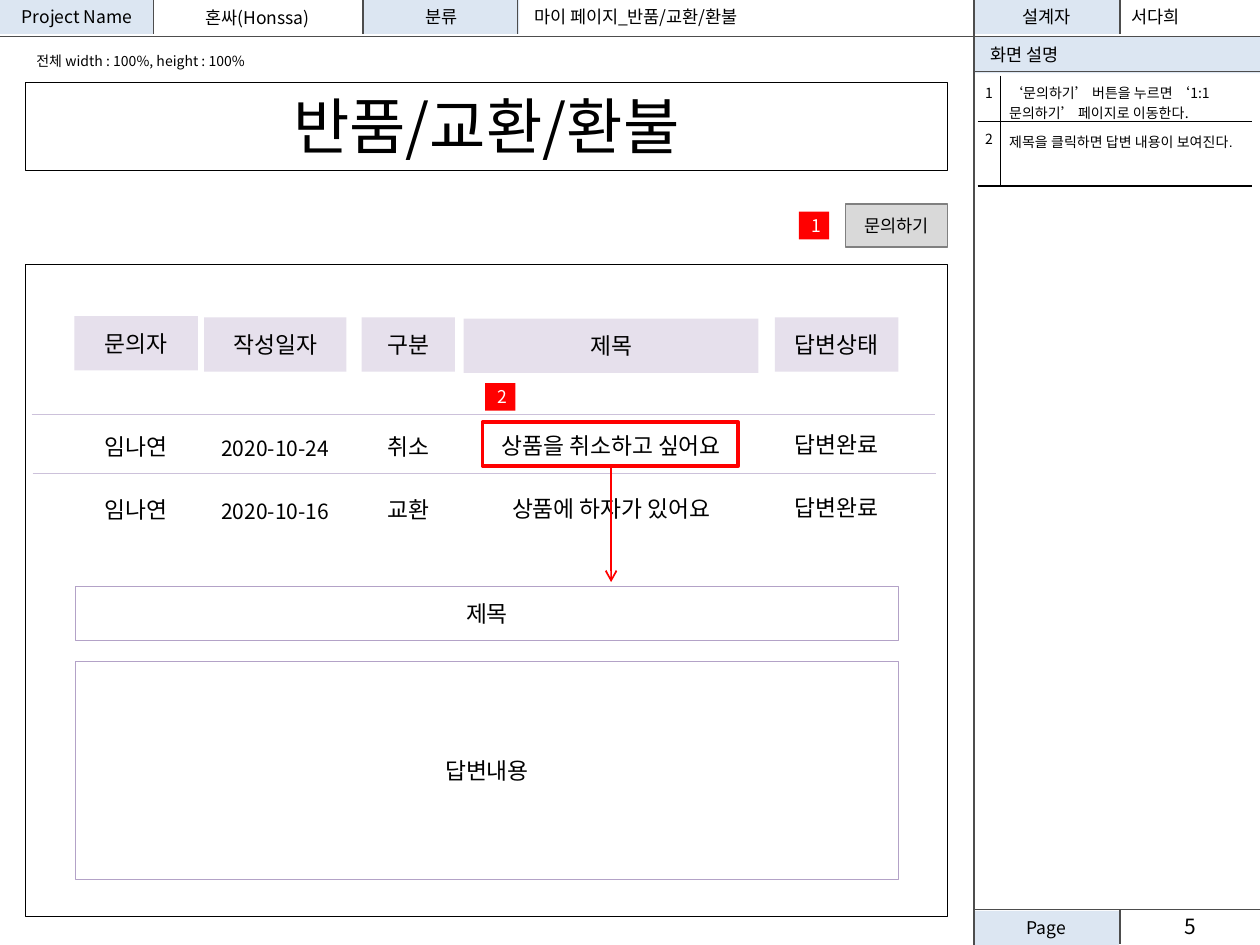
from lxml import etree
from pptx import Presentation
from pptx.dml.color import RGBColor
from pptx.enum import shapes, text
from pptx.oxml import ns
from pptx.util import Inches, Pt

FONT = "Noto Sans CJK KR"
BLACK = RGBColor(0, 0, 0)
WHITE = RGBColor(255, 255, 255)
RED = RGBColor(255, 0, 0)
PALE_BLUE = RGBColor(0xDC, 0xE6, 0xF2)
LILAC = RGBColor(0xE6, 0xE0, 0xEC)
LILAC_RULE = RGBColor(0xCC, 0xC1, 0xDA)
LILAC_EDGE = RGBColor(0xB3, 0xA2, 0xC7)
DARK_GRAY = RGBColor(0x4D, 0x4D, 0x4D)
MID_GRAY = RGBColor(0x80, 0x80, 0x80)
LIGHT_GRAY = RGBColor(0xD9, 0xD9, 0xD9)
CENTER, LEFT = text.PP_ALIGN.CENTER, text.PP_ALIGN.LEFT
MIDDLE, TOP = text.MSO_ANCHOR.MIDDLE, text.MSO_ANCHOR.TOP

# Content: (text, left, top, width, height)
FRAME_LABELS = [
    ("Page", 7.73, 7.23, 1.15, 0.27),
    ("설계자", 7.73, 0, 1.15, 0.27),
    ("분류", 2.89, 0, 1.23, 0.27),
    ("Project Name", 0, 0, 1.22, 0.27),
]
FRAME_LINES = [  # x1, y1, x2, y2
    (0, 0.29, 10, 0.29), (7.73, 0.57, 10, 0.57), (7.73, 7.22, 10, 7.22),
    (7.73, 0, 7.73, 7.5), (8.89, 7.22, 8.89, 7.49),
    *[(x, 0, x, 0.27) for x in (1.22, 2.88, 4.11, 8.89)],
]
FRAME_VALUES = [  # text, box, size, alignment
    ("서다희", (8.88, 0, 1.02, 0.27), 10, LEFT),
    ("마이 페이지_반품/교환/환불", (4.14, 0, 2.99, 0.27), 10, LEFT),
    ("반품/교환/환불", (0.2, 0.65, 7.32, 0.69), 35, CENTER),
    ("5", (8.89, 7.2, 1.12, 0.3), 12, CENTER),
    ("전체 width : 100%, height : 100%", (0.19, 0.37, 2.35, 0.37), 8, LEFT),
]
NOTES = [
    ("1", "‘문의하기’ 버튼을 누르면 ‘1:1문의하기’ 페이지로 이동한다."),
    ("2", "제목을 클릭하면 답변 내용이 보여진다."),
]
COLUMNS = [  # heading, left, width, heading top, offset of row text, size
    ("문의자", 0.59, 0.98, 2.51, 0.02, 13),
    ("작성일자", 1.62, 1.13, 2.52, 0.03, 12),
    ("구분", 2.87, 0.74, 2.52, 0.02, 13),
    ("제목", 3.68, 2.34, 2.53, 0.01, 13),
    ("답변상태", 6.15, 0.98, 2.52, 0, 13),
]
INQUIRIES = [
    ("임나연", "2020-10-24", "취소", "상품을 취소하고 싶어요", "답변완료"),
    ("임나연", "2020-10-16", "교환", "상품에 하자가 있어요", "답변완료"),
]
ROW_TOPS = [3.35, 3.85]

presentation = Presentation()
presentation.slide_width, presentation.slide_height = Inches(10), Inches(7.5)
slide = presentation.slides.add_slide(presentation.slide_layouts[6])


def write(frame, words, size=10, color=BLACK, align=CENTER, anchor=MIDDLE, font=FONT):
    frame.word_wrap = True
    frame.vertical_anchor = anchor
    paragraph = frame.paragraphs[0]
    paragraph.alignment = align
    run = paragraph.add_run()
    run.text = words
    run.font.size = Pt(size)
    run.font.name = font
    run.font.color.rgb = color
    east_asian = etree.SubElement(run._r.get_or_add_rPr(), ns.qn("a:ea"))
    east_asian.set("typeface", FONT)
    return paragraph


def add_label(words, box, **text_format):
    shape = slide.shapes.add_textbox(*map(Inches, box))
    write(shape.text_frame, words, **text_format)


def add_box(box, words="", fill=None, line=None, width=0.25,
            kind=shapes.MSO_SHAPE.RECTANGLE, **text_format):
    shape = slide.shapes.add_shape(kind, *map(Inches, box))
    shape.shadow.inherit = False
    if fill is None:
        shape.fill.background()
    else:
        shape.fill.solid()
        shape.fill.fore_color.rgb = fill
    if line is None:
        shape.line.fill.background()
    else:
        shape.line.color.rgb = line
        shape.line.width = Pt(width)
    if words:
        write(shape.text_frame, words, **text_format)
    return shape


def add_line(ends, color=DARK_GRAY, width=0.75, arrow=False):
    line = slide.shapes.add_connector(shapes.MSO_CONNECTOR.STRAIGHT, *map(Inches, ends))
    line.line.color.rgb = color
    line.line.width = Pt(width)
    if arrow:
        etree.SubElement(line.line._get_or_add_ln(), ns.qn("a:tailEnd")).set("type", "arrow")
    etree.SubElement(line._element.spPr, ns.qn("a:effectLst"))


def set_borders(cell, visible):
    properties = cell._tc.get_or_add_tcPr()
    for position, side in enumerate("LRTB"):
        border = etree.Element(ns.qn(f"a:ln{side}"), w=str(Pt(0.75)))
        if side in visible:
            fill = etree.SubElement(border, ns.qn("a:solidFill"))
            etree.SubElement(fill, ns.qn("a:srgbClr")).set("val", str(BLACK))
        else:
            etree.SubElement(border, ns.qn("a:noFill"))
        properties.insert(position, border)


# Page frame
for words, *box in FRAME_LABELS:
    add_box(box, words, fill=PALE_BLUE)
heading = add_box((7.73, 0.29, 2.27, 0.29), "화면 설명", fill=PALE_BLUE, align=LEFT)
heading.text_frame.margin_left = Inches(0.13)
add_label("혼싸(Honssa)", (1.22, 0.01, 1.65, 0.25))
for ends in FRAME_LINES:
    add_line(ends)
for words, box, size, align in FRAME_VALUES:
    add_label(words, box, size=size, align=align, anchor=TOP)

# Title and content outlines
for box in [(0.2, 0.65, 7.32, 0.7), (0.2, 2.1, 7.32, 5.17)]:
    add_box(box, line=BLACK, kind=shapes.MSO_SHAPE.FLOWCHART_PROCESS)

# Screen notes
table = slide.shapes.add_table(2, 2, *map(Inches, (7.76, 0.6, 2.18, 0.87))).table
table.first_row = table.horz_banding = False
for column, width in zip(table.columns, (0.18, 2)):
    column.width = Inches(width)
for row, height in zip(table.rows, (0.36, 0.51)):
    row.height = Inches(height)
for row, note in enumerate(NOTES):
    for column, words in enumerate(note):
        cell = table.cell(row, column)
        cell.fill.background()
        cell.margin_left = cell.margin_right = Inches((0.04, 0.07)[column])
        cell.margin_top = cell.margin_bottom = Inches(0.05)
        write(cell.text_frame, words, size=8, align=(CENTER, LEFT)[column],
              anchor=TOP, font="Arial" if row and column else FONT)
        set_borders(cell, "RL"[column] + "B" + "T" * row)
last_note = table.cell(1, 1).text_frame.paragraphs[0]
last_note.alignment = text.PP_ALIGN.JUSTIFY
last_note.line_spacing = 1.15

# Inquiry button
add_box((6.71, 1.62, 0.81, 0.34), "문의하기", fill=LIGHT_GRAY, line=MID_GRAY, width=1)

# Inquiry list
add_line((0.25, 3.29, 7.42, 3.29), LILAC_RULE, 0.25)
add_line((0.26, 3.76, 7.43, 3.76), LILAC_RULE)
for index, (title, left, width, top, offset, size) in enumerate(COLUMNS):
    add_box((left, top, width, 0.43), title, fill=LILAC, size=13)
    for inquiry, row_top in zip(INQUIRIES, ROW_TOPS):
        add_label(inquiry[index], (left, row_top + offset, width, 0.35), size=size)

# Answer panel
add_box((0.6, 4.65, 6.53, 0.43), "제목", line=LILAC_EDGE, size=13)
add_box((0.6, 5.25, 6.53, 1.73), "답변내용", line=LILAC_EDGE, size=13)

# Red callouts
add_box((3.83, 3.35, 2.03, 0.35), line=RED, width=2)
add_line((4.85, 3.7, 4.85, 4.62), RED, 1, arrow=True)
for number, left, top in [("1", 6.34, 1.68), ("2", 3.85, 3.04)]:
    add_box((left, top, 0.24, 0.22), number, fill=RED, color=WHITE)

presentation.save("out.pptx")
